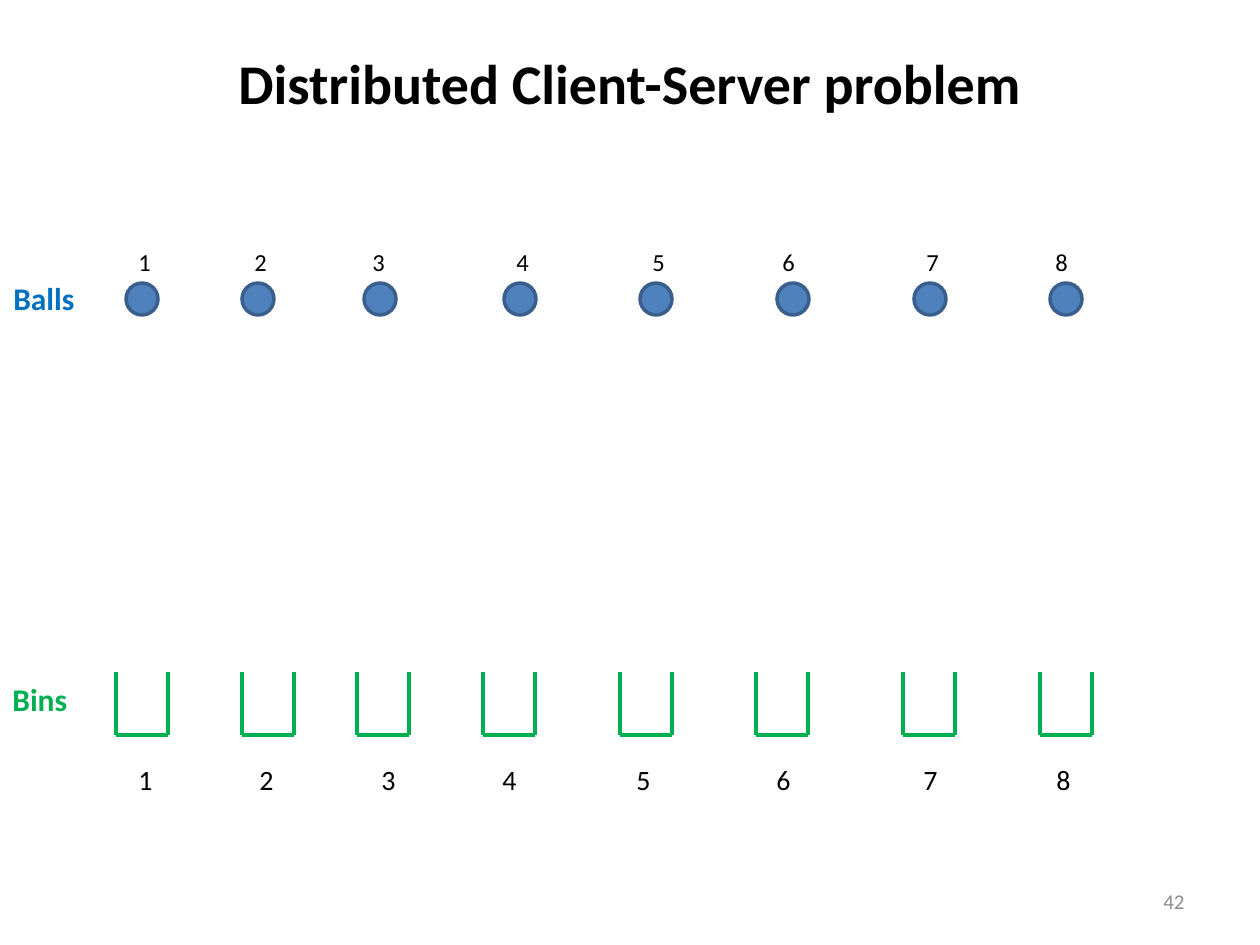
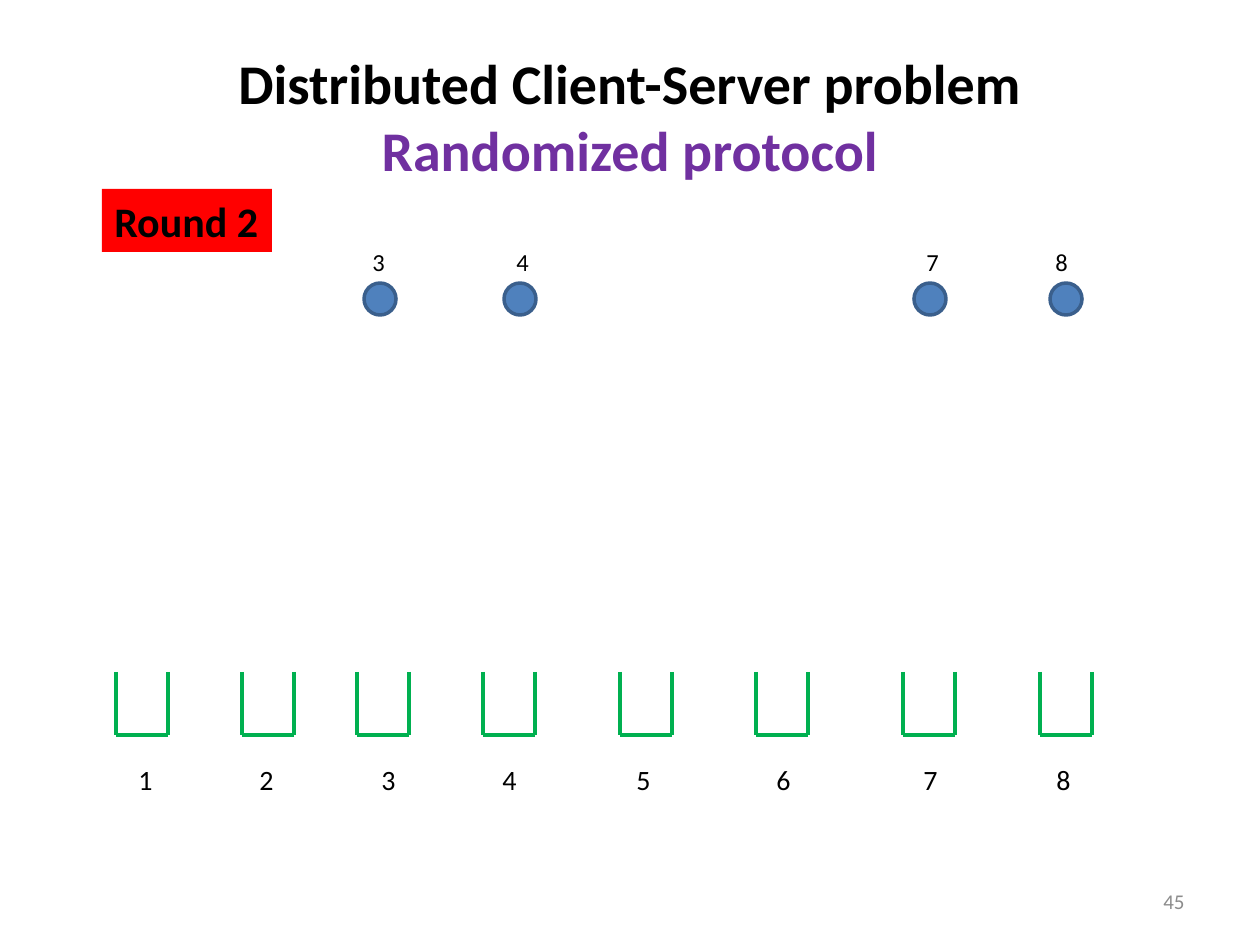
from lxml import etree
from pptx import Presentation
from pptx import util as u
from pptx.dml.color import RGBColor
from pptx.enum import shapes, text
from pptx.oxml.ns import qn

PX_PER_INCH = 126
FONT = "Calibri"
BLACK, GREY, PURPLE, RED = "000000", "8C8C8C", "7030A0", "FF0000"
BALL_FILL, BALL_LINE, BALL_TEXT, BIN_GREEN = "4F81BD", "3A5F8C", "0070C0", "00B050"

# number: (left of the ball, left of its label)
BALLS = {1: (126, 126), 2: (242, 242), 3: (364, 360), 4: (504, 504),
         5: (640, 640), 6: (777, 770), 7: (914, 914), 8: (1050, 1043)}
BALL_TOP, BALL_SIZE, BALL_LABEL_TOP = 283, 32, 241

# (left of the bin, centre of its label)
BINS = [(116, 145), (242, 266), (357, 388), (483, 509),
        (620, 643), (756, 783), (903, 930), (1040, 1063)]
BIN_TOP, BIN_BOTTOM, BIN_WIDTH, BIN_LABEL_TOP = 672, 735, 52, 756
LABEL_WIDTH = 38


def px(*values):
    return [u.Emu(round(v * 914400 / PX_PER_INCH)) for v in values]


def color(hex_string):
    return RGBColor.from_string(hex_string)


def add_run(p, content, size, hex_color=BLACK, bold=False):
    r = p.add_run()
    r.text = content
    for name, value in {"name": FONT, "size": u.Pt(size), "bold": bold}.items():
        setattr(r.font, name, value)
    r.font.color.rgb = color(hex_color)


def write(sp, content, size, hex_color=BLACK, bold=False,
          align=text.PP_ALIGN.LEFT, anchor=text.MSO_ANCHOR.TOP):
    """Put one unwrapped line of text into a shape."""
    tf = sp.text_frame
    tf.word_wrap = False
    tf.vertical_anchor = anchor
    p = tf.paragraphs[0]
    p.alignment = align
    add_run(p, content, size, hex_color, bold)


def add_label(parent, box, content, size, **style):
    write(parent.add_textbox(*px(*box)), content, size, **style)


def add_filled(parent, kind, box, fill):
    sp = parent.add_shape(kind, *px(*box))
    sp.shadow.inherit = False
    sp.fill.solid()
    sp.fill.fore_color.rgb = color(fill)
    sp.line.fill.background()
    return sp


def add_line(parent, x1, y1, x2, y2):
    line = parent.add_connector(shapes.MSO_CONNECTOR.STRAIGHT, *px(x1, y1, x2, y2))
    line.line.color.rgb = color(BIN_GREEN)
    line.line.width = u.Pt(2.25)
    etree.SubElement(line._element.spPr, qn("a:effectLst"))


def add_ball(s, number):
    left, label_left = BALLS[number]
    group = s.shapes.add_group_shape().shapes
    ball = add_filled(group, shapes.MSO_SHAPE.OVAL,
                      (left, BALL_TOP, BALL_SIZE, BALL_SIZE), BALL_FILL)
    ball.line.color.rgb = color(BALL_LINE)
    ball.line.width = u.Pt(2)
    add_label(group, (label_left, BALL_LABEL_TOP, LABEL_WIDTH, 43), str(number), 14)


def add_bins(s):
    group = s.shapes.add_group_shape().shapes
    for number, (left, label_center) in enumerate(BINS, 1):
        right = left + BIN_WIDTH
        for x in (left, right):
            add_line(group, x, BIN_TOP, x, BIN_BOTTOM)
        add_line(group, left, BIN_BOTTOM, right, BIN_BOTTOM)
        add_label(group, (label_center - LABEL_WIDTH // 2, BIN_LABEL_TOP, LABEL_WIDTH, 47),
                  str(number), 16, align=text.PP_ALIGN.CENTER)


def set_title(s, subtitle):
    title = s.shapes.title
    title.left, title.top, title.width, title.height = px(63, 38, 1134, 157)
    tf = title.text_frame
    frame = {"auto_size": text.MSO_AUTO_SIZE.NONE, "word_wrap": True,
             "vertical_anchor": text.MSO_ANCHOR.TOP, "margin_top": px(10)[0]}
    for name, value in frame.items():
        setattr(tf, name, value)
    p = tf.paragraphs[0]
    p.alignment = text.PP_ALIGN.CENTER
    add_run(p, "Distributed Client-Server problem", 32, bold=True)
    if subtitle:
        p.add_line_break()
        add_run(p, subtitle, 32, PURPLE, True)


def add_problem_slide(prs, page, balls, subtitle=None):
    """Add a slide with its title, page number, the given balls and all bins."""
    s = prs.slides.add_slide(prs.slide_layouts[5])
    set_title(s, subtitle)
    add_label(s.shapes, (903, 876, 294, 50), str(page), 12, hex_color=GREY,
              align=text.PP_ALIGN.RIGHT, anchor=text.MSO_ANCHOR.MIDDLE)
    for number in balls:
        add_ball(s, number)
    add_bins(s)
    return s


def main():
    prs = Presentation()
    prs.slide_width, prs.slide_height = px(1260, 945)

    s = add_problem_slide(prs, 42, BALLS)
    add_label(s.shapes, (0, 674, 81, 50), "Bins", 18, hex_color=BIN_GREEN, bold=True)
    add_label(s.shapes, (1, 273, 87, 50), "Balls", 18, hex_color=BALL_TEXT, bold=True)

    s = add_problem_slide(prs, 45, (3, 4, 7, 8), "Randomized protocol")
    badge = add_filled(s.shapes, shapes.MSO_SHAPE.RECTANGLE, (102, 189, 170, 63), RED)
    write(badge, "Round 2", 24, bold=True)

    prs.save("out.pptx")


if __name__ == "__main__":
    main()
